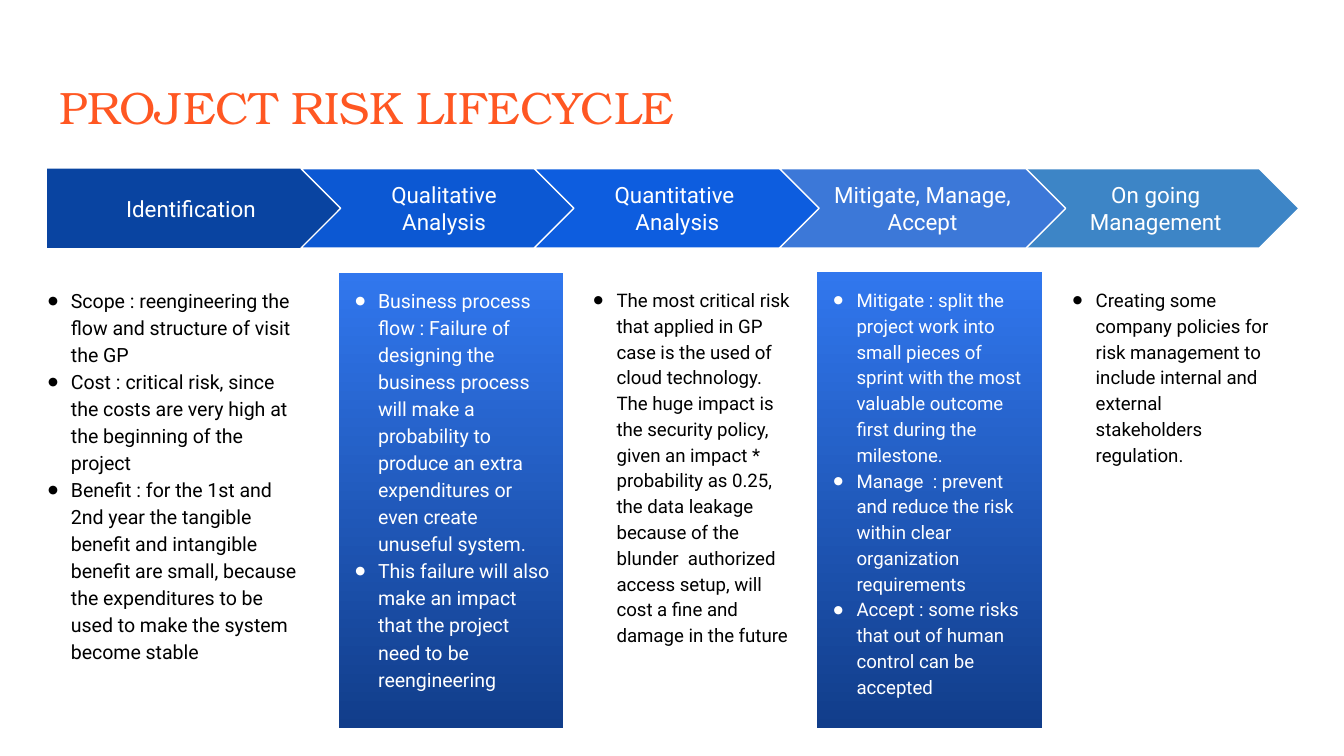
"""Build the project risk lifecycle slide: five process arrows with notes below."""
from lxml.etree import SubElement
from pptx import Presentation
from pptx.dml.color import RGBColor
from pptx.enum.shapes import MSO_SHAPE
from pptx.enum.text import MSO_ANCHOR, PP_ALIGN
from pptx.oxml.ns import qn
from pptx.util import Pt

PX = 4572
COLORS = {
    "title": "FF5722", "white": "FFFFFF", "black": "000000",
    "identification": "0944A1", "qualitative": "0C58D3", "quantitative": "0D5DDF",
    "mitigate": "3C78D8", "ongoing": "3D85C6",
    "panel top": "3177EE", "panel bottom": "113D8A",
}
ARROW_TOP, ARROW_HEIGHT = 251, 118
NOTES_TOP, NOTES_HEIGHT, PANEL_HEIGHT = 405, 414, 679
BULLET_HANG = 34


def color(name):
    return RGBColor.from_string(COLORS[name])


def add_text(shape, paragraphs, font, ink, align=PP_ALIGN.LEFT, indent=None):
    """Fill a shape with paragraphs of (text, size) runs, bulleted when indented."""
    frame = shape.text_frame
    frame.word_wrap = True
    frame.margin_left = frame.margin_right = 20 * PX
    frame.margin_top = frame.margin_bottom = 20 * PX
    frame.vertical_anchor = MSO_ANCHOR.TOP
    for index, runs in enumerate(paragraphs):
        para = frame.add_paragraph() if index else frame.paragraphs[0]
        para.alignment = align
        for text, size in runs:
            span = para.add_run()
            span.text = text
            span.font.name = font
            span.font.size = Pt(size)
            span.font.color.rgb = color(ink)
        if indent:
            para.line_spacing = 1.15
            properties = para._p.get_or_add_pPr()
            properties.set("marL", str(indent * PX))
            properties.set("indent", str(-BULLET_HANG * PX))
            bullet_color = SubElement(properties, qn("a:buClr"))
            SubElement(bullet_color, qn("a:srgbClr"), val=COLORS[ink])
            SubElement(properties, qn("a:buSzPct"), val="58000")
            SubElement(properties, qn("a:buFont"), typeface=font)
            SubElement(properties, qn("a:buChar"), char="●")
    return frame


deck = Presentation()
deck.slide_width, deck.slide_height = 2000 * PX, 1125 * PX
page = deck.slides.add_slide(deck.slide_layouts[6])

title = page.shapes.add_textbox(69 * PX, 98 * PX, 1864 * PX, 126 * PX)
add_text(title, [[("PROJECT RISK LIFECYCLE", 24.3)]], "TeX Gyre Bonum", "title")

arrows = [
    ("identification", 70, 458, ["Identification"]),
    ("qualitative", 448, 426, ["Qualitative Analysis"]),
    ("quantitative", 795, 426, ["Quantitative ", "Analysis"]),
    ("ongoing", 1507, 426, ["On going", "Management"]),
    ("mitigate", 1160, 426, ["Mitigate, Manage, Accept"]),
]
for stage, left, width, lines in arrows:
    first = stage == "identification"
    kind = MSO_SHAPE.PENTAGON if first else MSO_SHAPE.CHEVRON
    arrow = page.shapes.add_shape(kind, left * PX, ARROW_TOP * PX, width * PX, ARROW_HEIGHT * PX)
    arrow.shadow.inherit = False
    arrow.adjustments[0] = 0.5
    arrow.fill.solid()
    arrow.fill.fore_color.rgb = color(stage)
    if first:
        arrow.line.fill.background()
    else:
        arrow.line.color.rgb = color("white")
        arrow.line.width = Pt(0.75)
    frame = add_text(arrow, [[(line, 12)] for line in lines], "Roboto", "white", PP_ALIGN.CENTER)
    frame.vertical_anchor = MSO_ANCHOR.MIDDLE

notes = {}
for stage, left, width in (("identification", 26, 440), ("quantitative", 859, 337)):
    notes[stage] = page.shapes.add_textbox(
        left * PX, NOTES_TOP * PX, width * PX, NOTES_HEIGHT * PX)

for stage, left, width, height in (("qualitative", 504, 335, PANEL_HEIGHT),
                                   ("ongoing", 1572, 337, NOTES_HEIGHT),
                                   ("mitigate", 1216, 335, PANEL_HEIGHT)):
    panel = page.shapes.add_shape(
        MSO_SHAPE.RECTANGLE, left * PX, NOTES_TOP * PX, width * PX, height * PX)
    panel.shadow.inherit = False
    if stage == "ongoing":
        panel.fill.background()
    else:
        panel.fill.gradient()
        panel.fill.gradient_angle = 270
        for stop, position, name in zip(
                panel.fill.gradient_stops, (0, 1), ("panel top", "panel bottom")):
            stop.position = position
            stop.color.rgb = color(name)
    if stage == "mitigate":
        panel.line.fill.background()
    else:
        panel.line.color.rgb = color("white")
        panel.line.width = Pt(0.75)
    notes[stage] = panel

bullets = [
    ("identification", "black", 60, [
        [("Scope : reengineering the flow and structure of visit the GP", 10.5)],
        [("Cost : critical risk, since the costs are very high at the beginning of the project", 10.5)],
        [("Benefit : for the 1st and 2nd year the tangible benefit and intangible benefit are small, "
          "because the expenditures to be used to make the system become stable", 10.5)],
    ]),
    ("qualitative", "white", 39, [
        [("Business process flow : Failure of designing the business process will make a probability "
          "to produce an extra expenditures or even create unuseful system.", 10.5)],
        [("This failure will also make an impact that the project need to", 10.5), (" ", 11),
         ("be reengineering", 10.5)],
    ]),
    ("quantitative", "black", 39, [
        [("The most critical risk that applied in GP case is the used of cloud technology. "
          "The huge impact is the security policy, given an impact * probability as 0.25, "
          "the data leakage because of the blunder  authorized access setup, "
          "will cost a fine and damage in the future", 10)],
    ]),
    ("mitigate", "white", 39, [
        [("Mitigate : split the  project work into small pieces of sprint with the most valuable "
          "outcome first during the milestone.", 10)],
        [("Manage  : prevent and reduce the risk within clear organization requirements", 10)],
        [("Accept : some risks that out of human control can be accepted", 10)],
    ]),
    ("ongoing", "black", 39, [
        [("Creating some company policies for risk management to include internal and external "
          "stakeholders regulation.", 10)],
    ]),
]
for stage, ink, indent, paragraphs in bullets:
    add_text(notes[stage], paragraphs, "Roboto", ink, indent=indent)

deck.save("out.pptx")
